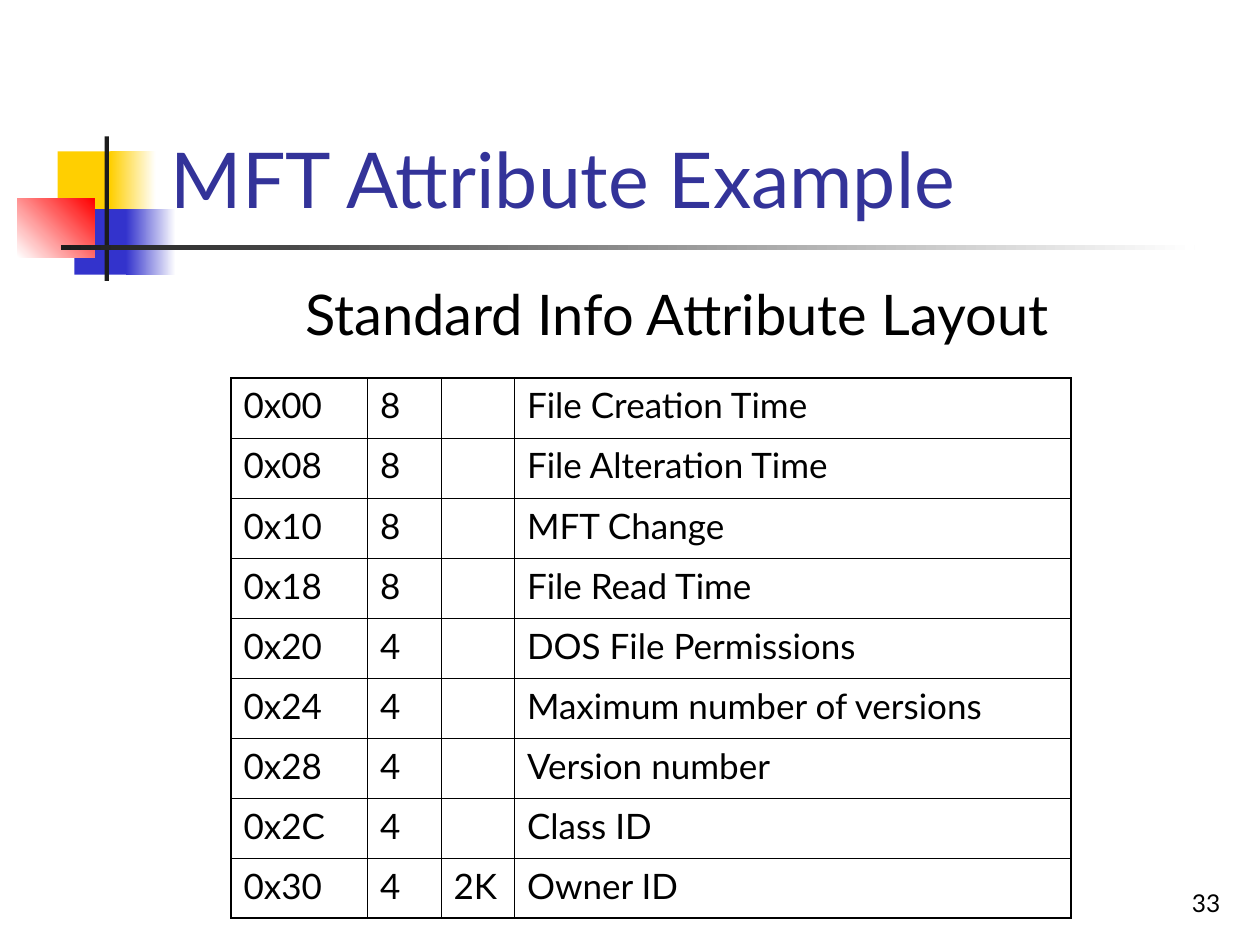
"""Build the MFT attribute example slide with its layout table."""
from lxml.etree import SubElement
from pptx import Presentation
from pptx.dml.color import RGBColor
from pptx.enum.shapes import MSO_SHAPE
from pptx.enum.text import MSO_ANCHOR, PP_ALIGN
from pptx.oxml.ns import qn
from pptx.util import Pt

FONT = "Lato"
BLACK = RGBColor(0x00, 0x00, 0x00)
WHITE = RGBColor(0xFF, 0xFF, 0xFF)
YELLOW = RGBColor(0xFF, 0xCF, 0x01)
BLUE = RGBColor(0x33, 0x33, 0xCC)
RED = RGBColor(0xFF, 0x00, 0x00)
DARK = RGBColor(0x1C, 0x1C, 0x1C)
TITLE_BLUE = RGBColor(0x33, 0x33, 0x99)

DECORATION = [
    ((33, 86.5, 34.5, 37.5), (YELLOW,), 0),
    ((63, 86.5, 26, 37.5), (YELLOW, WHITE), 0),
    ((42.5, 119.5, 33, 37.5), (BLUE,), 0),
    ((72, 119.5, 28.5, 37.5), (BLUE, WHITE), 0),
    ((10, 113.5, 44, 33.5), (WHITE, RED), 45),
    ((59.75, 78, 2.5, 82.5), (DARK,), 0),
    ((34.75, 140.25, 648, 2.5), (DARK, WHITE), 0),
]

TEXTS = [
    ("33", (554.5, 492, 150, 36), 14, BLACK, PP_ALIGN.RIGHT, MSO_ANCHOR.BOTTOM),
    ("MFT Attribute Example", (90.5, 16.5, 613.5, 115), 44, TITLE_BLUE,
     PP_ALIGN.LEFT, MSO_ANCHOR.BOTTOM),
    ("Standard Info Attribute Layout", (84, 156, 606, 46), 32, BLACK,
     PP_ALIGN.CENTER, MSO_ANCHOR.TOP),
]

ROWS = [
    ("0x00", "8", "", "File Creation Time"),
    ("0x08", "8", "", "File Alteration Time"),
    ("0x10", "8", "", "MFT Change"),
    ("0x18", "8", "", "File Read Time"),
    ("0x20", "4", "", "DOS File Permissions"),
    ("0x24", "4", "", "Maximum number of versions"),
    ("0x28", "4", "", "Version number"),
    ("0x2C", "4", "", "Class ID"),
    ("0x30", "4", "2K", "Owner ID"),
]
COLUMN_WIDTHS = (78, 42, 42, 318)
ROW_HEIGHT = 34.32
TABLE_LEFT, TABLE_TOP = 132, 216
OUTER, INNER = 1.08, 0.45


def add_block(slide, box, colors, angle):
    sp = slide.shapes.add_shape(MSO_SHAPE.RECTANGLE, *map(Pt, box))
    sp.shadow.inherit = False
    sp.line.fill.background()
    if len(colors) == 1:
        sp.fill.solid()
        sp.fill.fore_color.rgb = colors[0]
        return
    sp.fill.gradient()
    sp.fill.gradient_angle = angle
    for stop, color in zip(sp.fill.gradient_stops, colors):
        stop.color.rgb = color


def style(p, size, color):
    p.font.name = FONT
    p.font.size = Pt(size)
    p.font.color.rgb = color


def add_text(slide, text, box, size, color, align, anchor):
    tf = slide.shapes.add_textbox(*map(Pt, box)).text_frame
    tf.word_wrap = True
    tf.vertical_anchor = anchor
    p = tf.paragraphs[0]
    p.text = text
    p.alignment = align
    style(p, size, color)


def set_borders(cell, widths):
    tcPr = cell._tc.get_or_add_tcPr()
    for side, width in widths.items():
        ln = SubElement(tcPr, qn(f"a:ln{side}"), w=str(Pt(width)))
        SubElement(SubElement(ln, qn("a:solidFill")), qn("a:srgbClr"), val=str(BLACK))


def add_layout_table(slide):
    n_rows, n_cols = len(ROWS), len(COLUMN_WIDTHS)
    table = slide.shapes.add_table(
        n_rows, n_cols, Pt(TABLE_LEFT), Pt(TABLE_TOP),
        Pt(sum(COLUMN_WIDTHS)), Pt(n_rows * ROW_HEIGHT)).table
    table.first_row = table.horz_banding = False
    for column, width in zip(table.columns, COLUMN_WIDTHS):
        column.width = Pt(width)
    for i, values in enumerate(ROWS):
        table.rows[i].height = Pt(ROW_HEIGHT)
        for j, value in enumerate(values):
            cell = table.cell(i, j)
            edges = {"L": j == 0, "R": j == n_cols - 1, "T": i == 0, "B": i == n_rows - 1}
            set_borders(cell, {k: OUTER if edge else INNER for k, edge in edges.items()})
            cell.fill.background()
            p = cell.text_frame.paragraphs[0]
            p.text = value
            style(p, 20, BLACK)


def main():
    prs = Presentation()
    prs.slide_width, prs.slide_height = Pt(720), Pt(540)
    slide = prs.slides.add_slide(prs.slide_layouts[6])
    for block in DECORATION:
        add_block(slide, *block)
    for text in TEXTS:
        add_text(slide, *text)
    add_layout_table(slide)
    prs.save("out.pptx")


if __name__ == "__main__":
    main()
